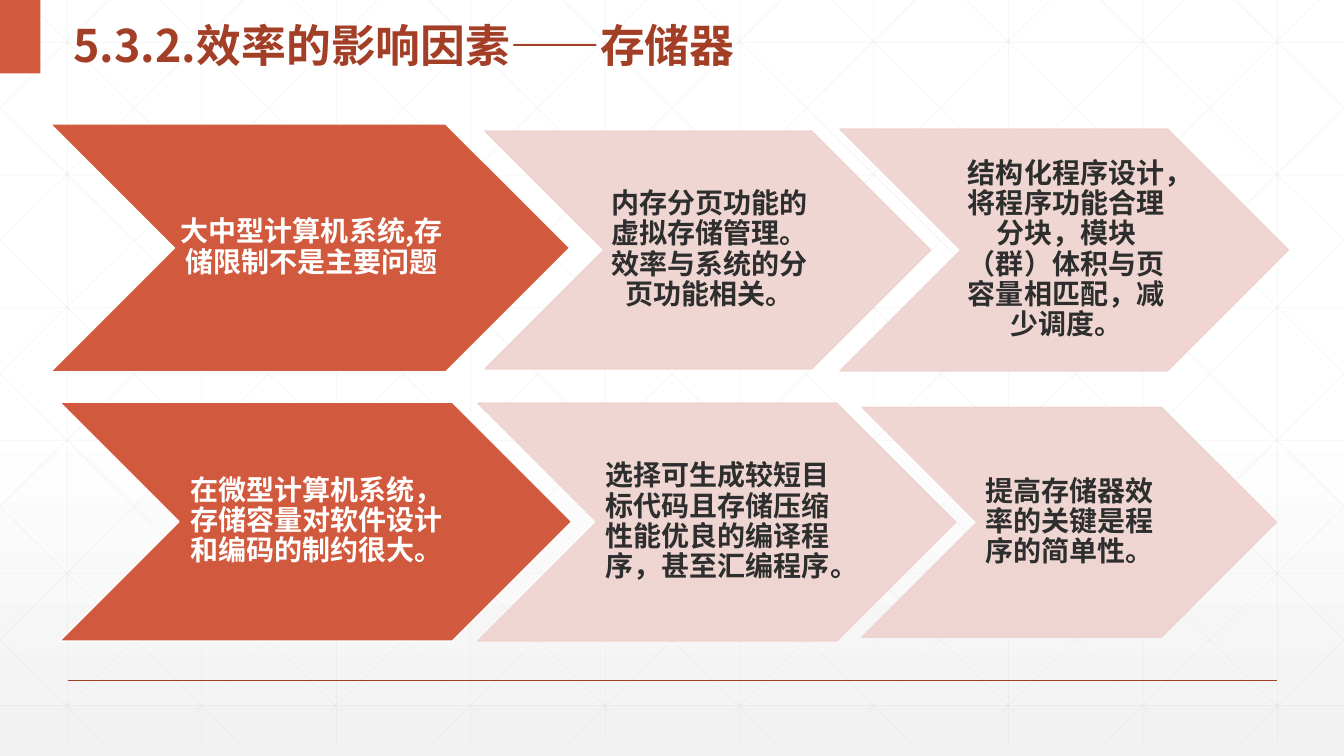
"""Build the slide on how memory affects program efficiency."""
from dataclasses import dataclass

from lxml import etree
from pptx import Presentation
from pptx import util as u
from pptx.dml import color as col
from pptx.enum import shapes as sh, text as tx
from pptx.oxml import ns

WIDE, HIGH, FOOT = 13.33, 7.5, 7.37
STEP = 4 / 3
SANS = "Noto Sans CJK SC"
RED, DARK, PINK = "D15A3E", "A43F27", "EED2CE"
WHITE, INK, GREY = "FFFFFF", "2D2E2D", "D9D9D9"


@dataclass
class Arrow:
    left: float
    top: float
    width: float
    height: float
    inset: float
    span: float
    words: str
    lead: bool = False


ARROWS = [
    Arrow(0.5, 1.23, 5.15, 2.46, 1.23, 2.69,
          "大中型计算机系统,存储限制不是主要问题", True),
    Arrow(4.81, 1.3, 4.42, 2.36, 1.18, 2.06,
          "内存分页功能的虚拟存储管理。效率与系统的分页功能相关。"),
    Arrow(8.33, 1.28, 4.45, 2.4, 1.2, 2.06,
          "结构化程序设计，将程序功能合理分块，模块（群）体积与页容量相匹配，减少调度。"),
    Arrow(0.59, 3.99, 5.08, 2.37, 1.18, 2.71,
          "在微型计算机系统，存储容量对软件设计和编码的制约很大。", True),
    Arrow(4.74, 4, 4.74, 2.36, 1.18, 2.37,
          "选择可生成较短目标代码且存储压缩性能优良的编译程序，甚至汇编程序。"),
    Arrow(8.55, 4.04, 4.11, 2.28, 1.13, 1.83,
          "提高存储器效率的关键是程序的简单性。"),
]


def paint(fill, tone: str, alpha: int = 100) -> None:
    fill.solid()
    fill.fore_color.rgb = col.RGBColor.from_string(tone)
    if alpha < 100:
        for clr in fill._xPr.iter(ns.qn("a:srgbClr")):
            etree.SubElement(clr, ns.qn("a:alpha"), val=str(alpha * 1000))


def back(slide) -> None:
    fill = slide.background.fill
    fill.gradient()
    grad = fill._xPr.find(ns.qn("a:gradFill"))
    for part in list(grad):
        grad.remove(part)
    stops = etree.SubElement(grad, ns.qn("a:gsLst"))
    for pos, tone in ((0, WHITE), (53, WHITE), (100, "F2F2F2")):
        stop = etree.SubElement(stops, ns.qn("a:gs"), pos=str(pos * 1000))
        etree.SubElement(stop, ns.qn("a:srgbClr"), val=tone)
    etree.SubElement(grad, ns.qn("a:lin"), ang="5400000", scaled="0")


def rule(slide, x1: float, y1: float, x2: float, y2: float,
         tone: str = GREY, size: float = 0.5, alpha: int = 25) -> None:
    line = slide.shapes.add_connector(
        sh.MSO_CONNECTOR.STRAIGHT, *map(u.Inches, (x1, y1, x2, y2)))
    line.line.width = u.Pt(size)
    paint(line.line.fill, tone, alpha)
    etree.SubElement(line._element.spPr, ns.qn("a:effectLst"))


def grid(slide) -> None:
    for i in range(10):
        x = 0.67 + i * STEP
        rule(slide, x, 0, x, FOOT)
    for i in range(6):
        y = 0.42 + i * 1.316
        rule(slide, 0, y, WIDE, y)
    slope = FOOT / 7.45
    for i in range(-5, 10):
        start = 0.25 + i * STEP
        x1, x2 = max(start, 0), min(start + 7.45, WIDE)
        y1, y2 = (x1 - start) * slope, (x2 - start) * slope
        rule(slide, x1, y1, x2, y2)
        rule(slide, WIDE - x1, y1, WIDE - x2, y2)


def block(slide, kind, left: float, top: float, width: float, height: float,
          tone: str, alpha: int = 100):
    shape = slide.shapes.add_shape(
        kind, *map(u.Inches, (left, top, width, height)))
    shape.shadow.inherit = False
    paint(shape.fill, tone, alpha)
    shape.line.fill.background()
    return shape


def frame(slide, left: float, top: float, width: float, height: float):
    body = slide.shapes.add_textbox(
        *map(u.Inches, (left, top, width, height))).text_frame
    body.word_wrap = True
    body.vertical_anchor = tx.MSO_ANCHOR.MIDDLE
    return body


def style(run, size: int, tone: str, face: str = SANS) -> None:
    font = run.font
    font.size, font.bold, font.name = u.Pt(size), True, face
    paint(font.fill, tone)
    etree.SubElement(run._r.get_or_add_rPr(), ns.qn("a:ea"), typeface=SANS)


def title(slide) -> None:
    para = frame(slide, 0.63, 0, 7.83, 0.73).paragraphs[0]
    para.line_spacing = 1.3
    for words, face in (("5.3.2.", SANS), ("效率的影响因素——存储器", "Arial")):
        run = para.add_run()
        run.text = words
        style(run, 32, DARK, face)


def draw(slide, item: Arrow) -> None:
    tone, edge, ink, alpha = (
        (RED, WHITE, WHITE, 100) if item.lead else (PINK, PINK, INK, 90))
    shape = block(slide, sh.MSO_SHAPE.CHEVRON, item.left, item.top,
                  item.width, item.height, tone, alpha)
    shape.line.width = u.Pt(1)
    paint(shape.line.fill, edge, alpha)
    body = frame(slide, item.left + item.inset, item.top,
                 item.span, item.height)
    body.margin_left, body.margin_right = u.Inches(0.03), 0
    body.margin_top = body.margin_bottom = u.Inches(0.01)
    body.text = item.words
    para = body.paragraphs[0]
    para.alignment = tx.PP_ALIGN.CENTER
    para.line_spacing, para.space_after = 0.9, u.Pt(7)
    style(para.runs[0], 20, ink)


def main() -> None:
    deck = Presentation()
    deck.slide_width, deck.slide_height = u.Inches(WIDE), u.Inches(HIGH)
    slide = deck.slides.add_slide(deck.slide_layouts[6])
    back(slide)
    grid(slide)
    rule(slide, 0.67, 6.75, 12.67, 6.75, DARK, 1, 100)
    block(slide, sh.MSO_SHAPE.RECTANGLE, 0, 0, 0.4, 0.73, RED)
    title(slide)
    for item in ARROWS:
        draw(slide, item)
    deck.save("out.pptx")


if __name__ == "__main__":
    main()
